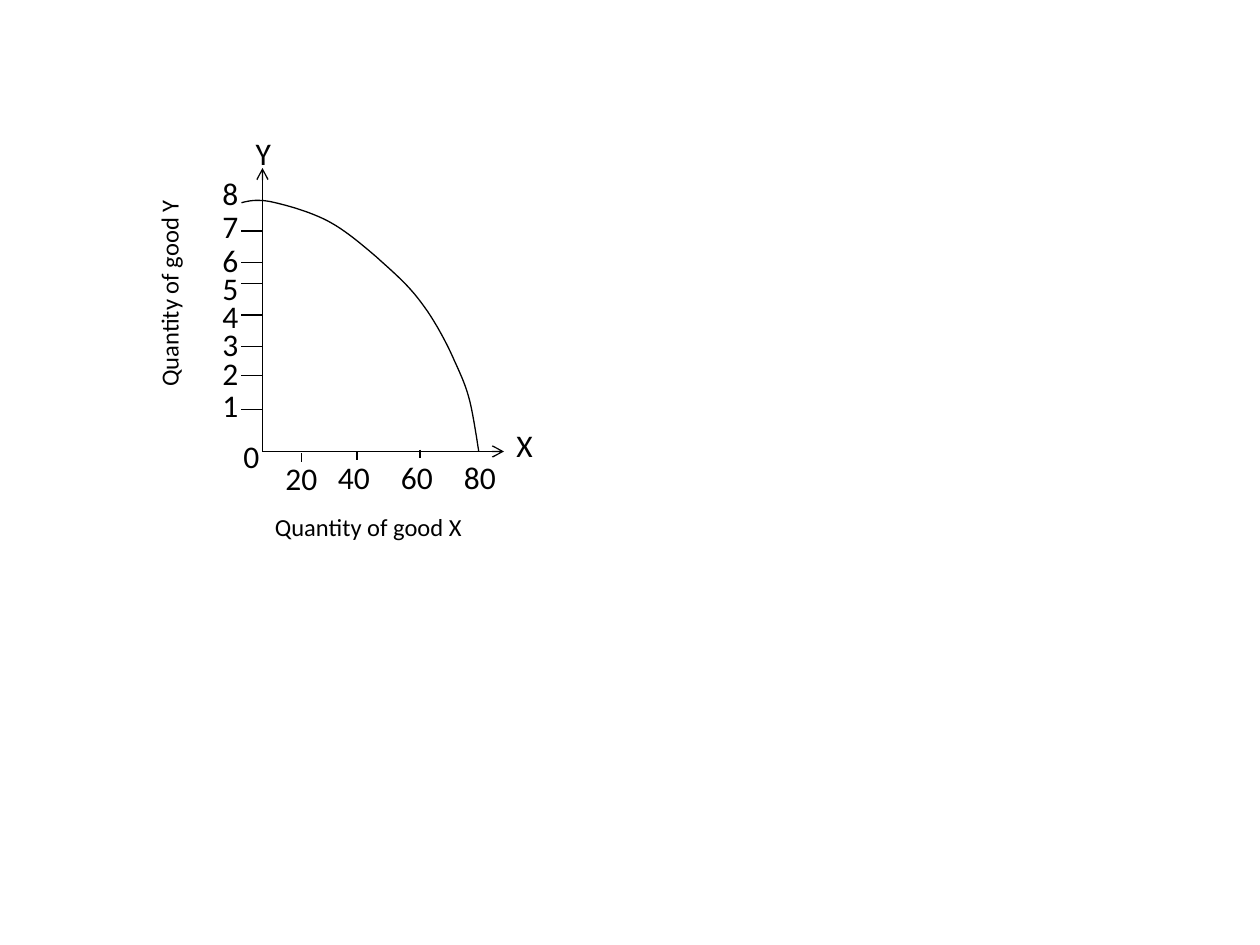
from pptx import Presentation
from pptx.dml.color import RGBColor
from pptx.enum import shapes, text
from pptx.oxml import parse_xml
from pptx.oxml.ns import nsdecls
from pptx.util import Pt

BLACK = RGBColor(0, 0, 0)

deck = Presentation()
deck.slide_width, deck.slide_height = Pt(720), Pt(540)
slide = deck.slides.add_slide(deck.slide_layouts[6])


def label(words, x, y, w, h=29, size=18, turn=0):
    box = slide.shapes.add_textbox(Pt(x), Pt(y), Pt(w), Pt(h))
    box.rotation = turn
    frame = box.text_frame
    frame.word_wrap = False
    frame.auto_size = text.MSO_AUTO_SIZE.SHAPE_TO_FIT_TEXT
    frame.text = words
    font = frame.paragraphs[0].runs[0].font
    font.name, font.size = "Calibri", Pt(size)
    font.color.rgb = BLACK


def rule(x1, y1, x2, y2, arrow=False):
    line = slide.shapes.add_connector(
        shapes.MSO_CONNECTOR.STRAIGHT, Pt(x1), Pt(y1), Pt(x2), Pt(y2))
    line.line.color.rgb = BLACK
    line.line.width = Pt(0.75)
    if arrow:
        line.line._get_or_add_ln().append(
            parse_xml(f'<a:tailEnd {nsdecls("a")} type="arrow"/>'))
    line._element.spPr.append(parse_xml(f'<a:effectLst {nsdecls("a")}/>'))


# Axes
left, base = 150, 258
rule(left, base, left, 96, arrow=True)
rule(left, base, 288, base, arrow=True)

# Frontier curve: cubic pieces (two handles and an end), sampled finely
start = (138, 115.9)
arcs = [
    ((143, 114.5), (148.3, 113.8), (156.2, 115.6)),
    ((164.2, 117.4), (177.1, 121), (187.2, 126.2)),
    ((197.3, 131.6), (205.9, 139), (215.2, 146.9)),
    ((223.9, 154.8), (233.3, 162.7), (240.7, 172.9)),
    ((248.4, 182.9), (255.6, 196.6), (259.9, 206.6)),
    ((264.2, 216), (266.4, 221), (268.6, 229.7)),
    ((270.7, 238.3), (273.6, 258), (273.6, 258)),
]
steps = 12
dots = []
here = start
for one, two, end in arcs:
    for step in range(1, steps + 1):
        t = step / steps
        s = 1 - t
        dots.append(tuple(
            Pt(s**3 * a + 3 * s * s * t * b + 3 * s * t * t * c + t**3 * d)
            for a, b, c, d in zip(here, one, two, end)))
    here = end
pen = slide.shapes.build_freeform(Pt(start[0]), Pt(start[1]))
pen.add_line_segments(dots, close=False)
curve = pen.convert_to_shape()
curve.shadow.inherit = False
curve.fill.background()
curve.line.color.rgb = BLACK
curve.line.width = Pt(0.75)

# Y ticks and numbers, from 8 down
for y in (132, 150, 162, 180, 198, 214.5, 234):
    rule(138, y, left, y)
for i, y in enumerate((96, 115, 134, 150, 166, 182, 198.5, 217)):
    label(str(8 - i), 120, y, 24)

# X ticks and numbers
for x, y in ((172.5, 259), (204, 258), (240, 257)):
    rule(x, y, x, y + 5)
label("0", 132, 246, 24)
for words, x, y in (("20", 156, 259), ("40", 186, 258),
                    ("60", 222, 258), ("80", 258, 258)):
    label(words, x, y, 33)

# Axis names and titles
label("X", 288, 240, 24)
label("Y", 139, 73, 23)
label("Quantity of good X", 150, 289, 122, h=24, size=14)
label("Quantity of good Y", 35.5, 155, 122, h=24, size=14, turn=270)

deck.save("out.pptx")
